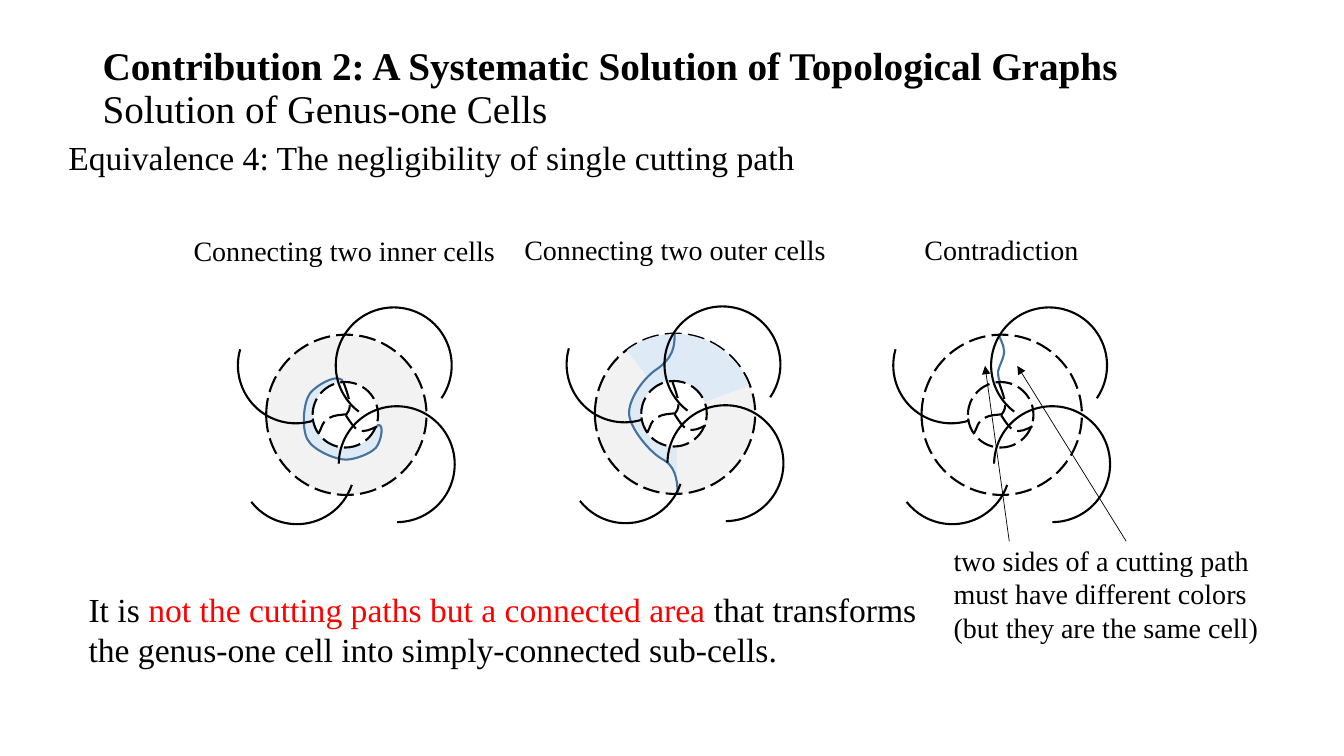
"""Build the slide on the negligibility of a single cutting path."""
from lxml.etree import SubElement
from pptx import Presentation
from pptx.dml.color import RGBColor
from pptx.enum.dml import MSO_LINE
from pptx.enum.shapes import MSO_CONNECTOR, MSO_SHAPE
from pptx.enum.text import MSO_ANCHOR, PP_ALIGN
from pptx.oxml.ns import qn
from pptx.util import Inches, Pt

BLACK = RGBColor(0x00, 0x00, 0x00)
WHITE = RGBColor(0xFF, 0xFF, 0xFF)
RED = RGBColor(0xFF, 0x00, 0x00)
GRAY = RGBColor(0xF2, 0xF2, 0xF2)
PALE_BLUE = RGBColor(0xDE, 0xEB, 0xF7)
BLUE = RGBColor(0x43, 0x73, 0x9E)
FONT = "Times New Roman"
CELL = Inches(0.1)
RING, HOLE, PETAL, SECTOR = 15.9, 6.5, 11.5, 15.5

PETALS = [
    (-1, -10.6, 127.02, 34.56),
    (-10.7, -10.6, 72.78, 196.09),
    (-10.6, -0.6, 18.8, 141.99),
    (-0.7, -0.8, 180.56, 89.68),
]
SPOKES = [
    [(-0.2, -3.1), (0.1, -2.3), (0.4, -1.4), (0.4, -0.9),
     (0.4, -0.4), (0.2, -0.2), (0, 0.1)],
    [(0, 0), (-0.5, 0.1), (-1, 0), (-1.7, 0.4),
     (-2.4, 0.8), (-2.3, 1.2), (-2.7, 1.9)],
    [(0, 0.1), (0.4, 0.7), (0.8, 1.4), (1.3, 1.6),
     (1.9, 1.8), (2.5, 1.5), (3.1, 1.2)],
]
INNER_CUT = [
    (-0.2, -3.1), (-0.5, -4.3), (-3, -2.9), (-3.6, -2),
    (-4.2, -1.1), (-4.4, 1.4), (-3.8, 2.5),
    (-3.2, 3.6), (-1, 4.5), (0, 4.5),
    (0.9, 4.5), (2.5, 3.9), (3, 3.3),
    (3.5, 2.7), (3.9, 0.8), (3.1, 1.1),
]
OUTER_CUT = [
    (0, -7.9), (0.1, -5.9), (-0.8, -5), (-2, -4.2),
    (-3.2, -3.3), (-4.6, -1.3), (-4.5, 0.1),
    (-4.4, 1.5), (-2.5, 3.8), (-1.3, 4.5),
    (0, 5.1), (0.3, 6.5), (0.3, 7.9),
]
CROSSING_CUT = [
    (-0.2, -7.8), (0.2, -6.8), (0.3, -6.7), (0.3, -6.2),
    (0.3, -5.6), (-0.2, -4.8), (-0.3, -4.3),
    (-0.3, -3.8), (-0.3, -3.6), (-0.1, -3.2),
]


def cells(*lengths):
    """Turn grid columns or rows into slide units."""
    return [round(length * CELL) for length in lengths]


def style(shape, fill, line, width=1.5, dashed=False):
    """Set fill and outline, and remove the shadow."""
    shape.shadow.inherit = False
    if fill is None:
        shape.fill.background()
    else:
        shape.fill.solid()
        shape.fill.fore_color.rgb = fill
    shape.line.color.rgb = line
    shape.line.width = Pt(width)
    if dashed:
        shape.line.dash_style = MSO_LINE.LONG_DASH


def add_round(slide, kind, left, top, size, fill=None, line=BLACK, width=1.5,
              dashed=False, angles=(), rotation=0):
    """Add a circle, arc or pie, with its angles in degrees."""
    shape = slide.shapes.add_shape(kind, *cells(left, top, size, size))
    for index, angle in enumerate(angles):
        shape.adjustments[index] = angle * 0.6
    shape.rotation = rotation
    style(shape, fill, line, width, dashed)


def add_curve(slide, center, points, fill=None, line=BLACK, dashed=False):
    """Add a chain of cubic curves whose points are offsets from the center."""
    start, *controls = [cells(center[0] + x, center[1] + y) for x, y in points]
    builder = slide.shapes.build_freeform(*start)
    builder.add_line_segments(controls, close=False)
    shape = builder.convert_to_shape()
    segments = list(shape.element.iter(qn("a:lnTo")))
    outline = segments[0].getparent()
    for first in range(0, len(segments), 3):
        curve = SubElement(outline, qn("a:cubicBezTo"))
        for segment in segments[first:first + 3]:
            curve.append(segment[0])
            outline.remove(segment)
    style(shape, fill, line, dashed=dashed)


def add_flower(slide, center, cut, ring_fill=None, cut_fill=None,
               hole_fill=None, sector=False):
    """Add a genus-one cell with its neighbours and its cutting path."""
    x, y = center
    add_round(slide, MSO_SHAPE.OVAL, x - 7.9, y - 7.9, RING, ring_fill, dashed=True)
    if sector:
        add_round(slide, MSO_SHAPE.PIE, x - 7.7, y - 7.8, SECTOR, PALE_BLUE,
                  PALE_BLUE, 1, angles=(56.02, 162.33), rotation=176.9)
    add_curve(slide, center, cut, cut_fill, BLUE)
    add_round(slide, MSO_SHAPE.OVAL, x - 3.3, y - 3.2, HOLE, hole_fill, dashed=True)
    for left, top, *angles in PETALS:
        add_round(slide, MSO_SHAPE.ARC, x + left, y + top, PETAL, angles=angles)
    for spoke in SPOKES:
        add_curve(slide, center, spoke, dashed=True)


def add_text(slide, box, size, *paragraphs, align=PP_ALIGN.LEFT, wrap=True,
             spacing=1.0, anchor=MSO_ANCHOR.TOP):
    """Add a text box and return its paragraphs."""
    frame = slide.shapes.add_textbox(*cells(*box)).text_frame
    frame.word_wrap = wrap
    frame.vertical_anchor = anchor
    for index, text in enumerate(paragraphs):
        paragraph = frame.add_paragraph() if index else frame.paragraphs[0]
        paragraph.alignment = align
        paragraph.line_spacing = spacing
        paragraph.font.name = FONT
        paragraph.font.size = Pt(size)
        paragraph.font.color.rgb = BLACK
        paragraph.add_run().text = text
    return frame.paragraphs


def add_title(slide):
    """Add the bold title with its plain second line."""
    paragraph = add_text(slide, (9.2, 4, 115, 9.7), 28,
                         "Contribution 2: A Systematic Solution of Topological Graphs",
                         spacing=0.9, anchor=MSO_ANCHOR.MIDDLE)[0]
    paragraph.runs[0].font.bold = True
    paragraph.add_line_break()
    paragraph.add_run().text = "Solution of Genus-one Cells"


def add_conclusion(slide):
    """Add the closing sentence with its red phrase."""
    paragraph = add_text(slide, (7.8, 57.9, 85.9, 9.1), 24, "It is ")[0]
    phrase = paragraph.add_run()
    phrase.text = "not the cutting paths but a connected area "
    phrase.font.color.rgb = RED
    paragraph.add_run().text = ("that transforms the genus-one cell "
                                "into simply-connected sub-cells.")


def add_arrow(slide, *ends):
    """Add a thin arrow from a note to one side of the cutting path."""
    arrow = slide.shapes.add_connector(MSO_CONNECTOR.STRAIGHT, *cells(*ends))
    arrow.line.color.rgb = BLACK
    arrow.line.width = Pt(0.5)
    SubElement(arrow.line._get_or_add_ln(), qn("a:tailEnd"), type="triangle")
    SubElement(arrow._element.spPr, qn("a:effectLst"))


def main():
    """Build and save the slide."""
    presentation = Presentation()
    presentation.slide_width = Inches(13.33)
    presentation.slide_height = Inches(7.5)
    slide = presentation.slides.add_slide(presentation.slide_layouts[6])
    add_title(slide)
    add_text(slide, (5.8, 13.5, 104.4, 6), 24,
             "Equivalence 4: The negligibility of single cutting path", spacing=0.9)
    add_text(slide, (18.1, 22.7, 32.1, 4.4), 20, "Connecting two inner cells",
             align=PP_ALIGN.CENTER, wrap=False)
    add_text(slide, (50.9, 22.6, 32.1, 4.4), 20, "Connecting two outer cells",
             align=PP_ALIGN.CENTER, wrap=False)
    add_text(slide, (90.7, 22.6, 17.4, 4.4), 20, "Contradiction")
    add_flower(slide, (34.3, 41.1), INNER_CUT, GRAY, PALE_BLUE, WHITE)
    add_flower(slide, (66.9, 41), OUTER_CUT, GRAY, PALE_BLUE, WHITE, sector=True)
    add_flower(slide, (99.3, 41.1), CROSSING_CUT)
    add_text(slide, (93.6, 53.4, 36, 11.1), 20,
             "two sides of a cutting path must have different colors",
             "(but they are the same cell)")
    add_arrow(slide, 100.1, 53.7, 97.7, 36.3)
    add_arrow(slide, 111.7, 53.7, 100.9, 36.3)
    add_conclusion(slide)
    presentation.save("out.pptx")


if __name__ == "__main__":
    main()
